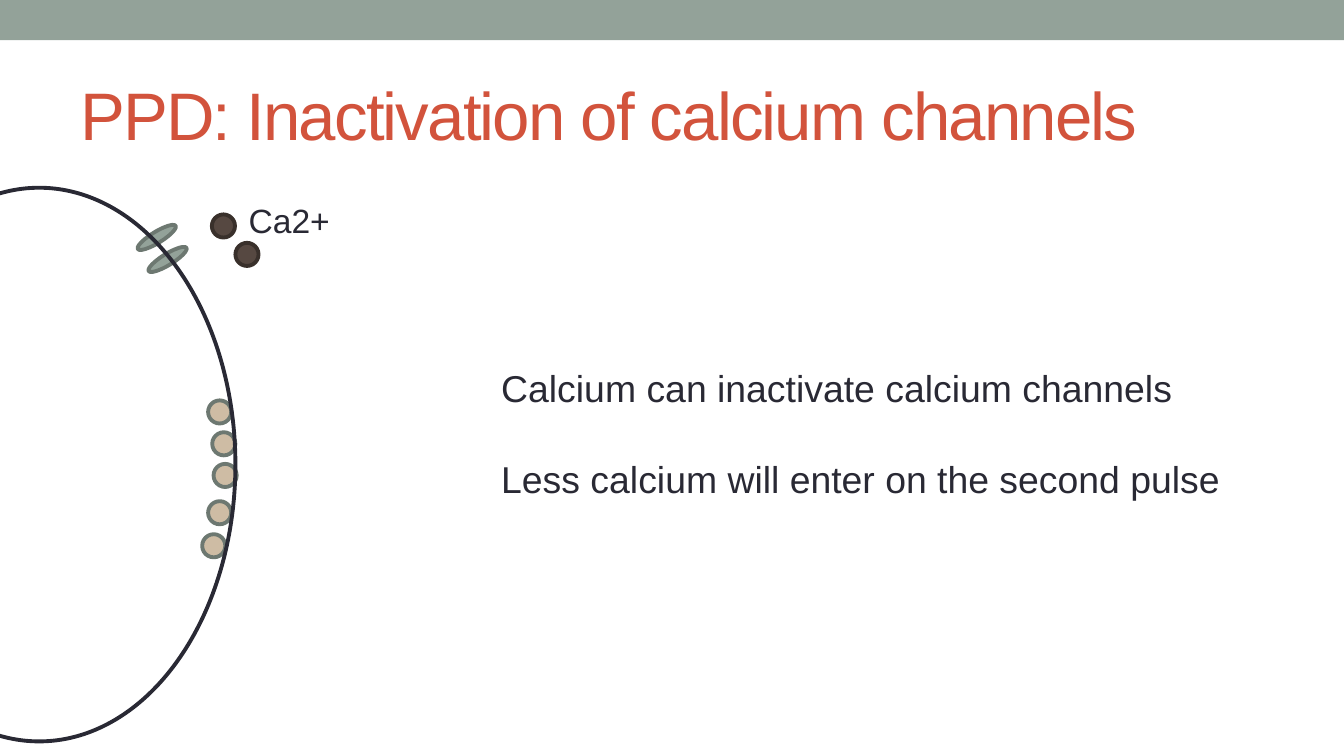
from pptx import Presentation
from pptx.dml.color import RGBColor
from pptx.enum.shapes import MSO_SHAPE
from pptx.enum.text import MSO_ANCHOR
from pptx.util import Pt

RECT, OVAL = MSO_SHAPE.RECTANGLE, MSO_SHAPE.OVAL
TOP, MIDDLE = MSO_ANCHOR.TOP, MSO_ANCHOR.MIDDLE
SAGE, MOSS, SAND = "93A299", "6D7871", "CEBCA4"
BROWN, DARK, INK, RED = "564841", "39302B", "292934", "D2533C"
WIDE, HIGH = 720, 405
DOT = 12.4


def color(code):
    return RGBColor.from_string(code)


def add_form(slide, kind, box, fill=None, line=None, turn=0):
    form = slide.shapes.add_shape(kind, *map(Pt, box))
    form.shadow.inherit = False
    form.rotation = turn
    if fill:
        form.fill.solid()
        form.fill.fore_color.rgb = color(fill)
    else:
        form.fill.background()
    if line:
        form.line.color.rgb = color(line)
        form.line.width = Pt(2.08)
    else:
        form.line.fill.background()


def add_text(slide, box, lines, size, ink=INK, anchor=TOP, wrap=True,
             gap=0, track=0):
    """Write one paragraph per line; gap and track are in points."""
    frame = slide.shapes.add_textbox(*map(Pt, box)).text_frame
    frame.word_wrap = wrap
    frame.vertical_anchor = anchor
    for i, line in enumerate(lines):
        para = frame.paragraphs[0] if i == 0 else frame.add_paragraph()
        if i:
            para.space_before = Pt(gap)
        run = para.add_run()
        run.text = line
        run.font.name = "Arial"
        run.font.size = Pt(size)
        run.font.color.rgb = color(ink)
        if track:
            run._r.get_or_add_rPr().set("spc", str(track * 100))


def add_head(slide, box):
    x, y, w, h = box
    add_form(slide, RECT, (x, y, w, 21.6), SAGE)
    add_text(slide, (x + 36, y + 31.7, w - 72, 58.3),
             ["PPD: Inactivation of calcium channels"], 36, RED,
             anchor=MIDDLE, track=-1)


def add_cell(slide, box):
    """Draw the nerve ending with its vesicles, channel and calcium."""
    x, y, w, h = box
    edge = x + w
    for left, top in ((14.6, 113.9), (12.4, 131), (11.7, 147.9),
                      (14.6, 167.9), (17.8, 185.6)):
        add_form(slide, OVAL, (edge - left, y + top, DOT, DOT), SAND, MOSS)
    for left, top in ((54, 23.6), (48.2, 35.4)):
        add_form(slide, OVAL, (edge - left, y + top, 23.8, 6), SAGE, MOSS,
                 turn=328.4)
    for left, top in ((12.6, 14.3), (0, 29.5)):
        add_form(slide, OVAL, (edge - left, y + top, DOT, DOT), BROWN, DARK)
    add_text(slide, (edge, y + 3, 58.3, 29), ["Ca2+"], 18, wrap=False)
    add_form(slide, OVAL, box, line=INK)


def add_notes(slide, box):
    add_text(slide, box, ["Calcium can inactivate calcium channels",
                          "Less calcium will enter on the second pulse"],
             20, gap=24.5)


def main():
    deck = Presentation()
    deck.slide_width, deck.slide_height = Pt(WIDE), Pt(HIGH)
    slide = deck.slides.add_slide(deck.slide_layouts[6])
    add_head(slide, (0, 0, WIDE, 90))
    add_cell(slide, (-84.2, 100.6, 210.3, 296.6))
    add_notes(slide, (261.4, 192.2, 440.6, 79.9))
    deck.save("out.pptx")


if __name__ == "__main__":
    main()
